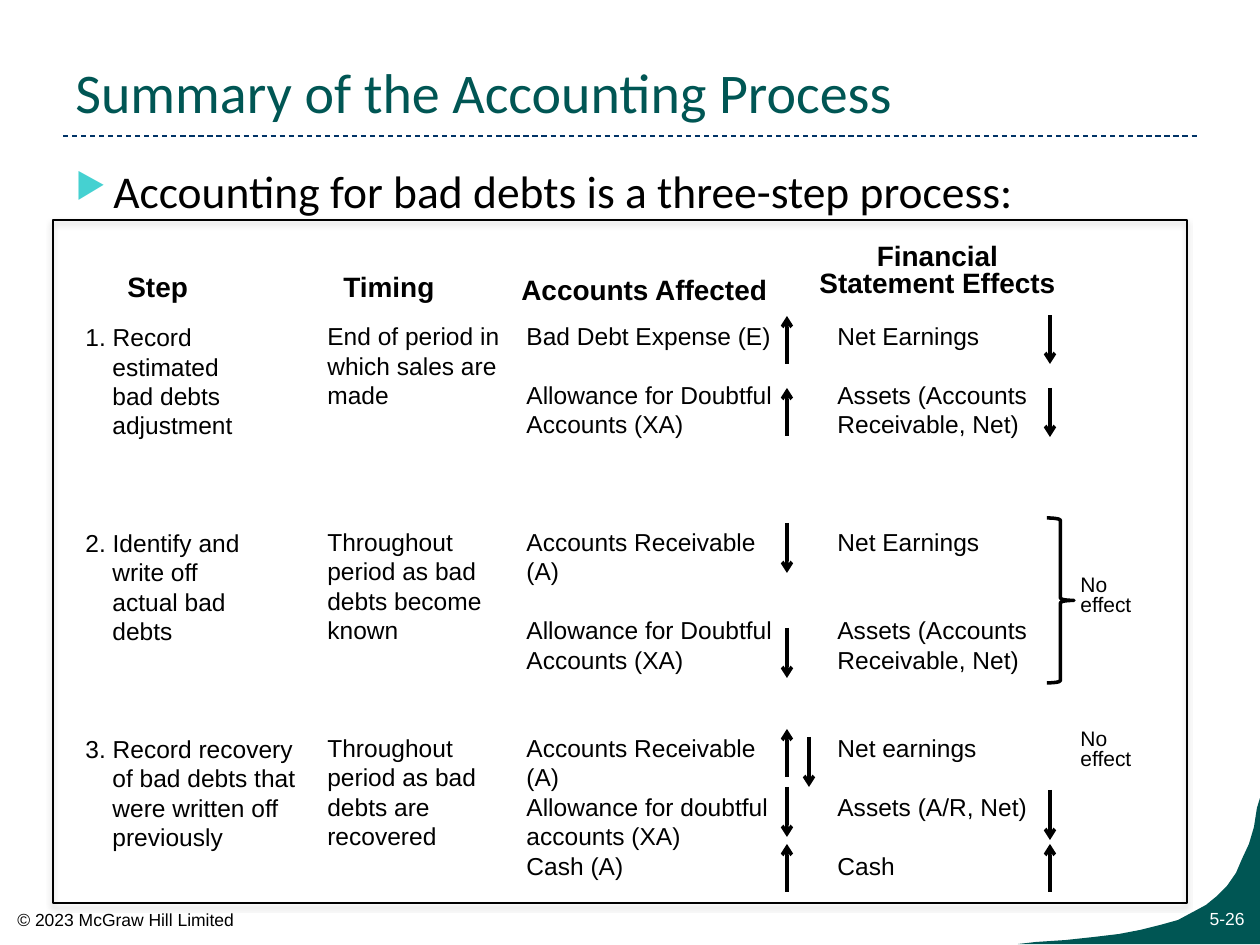
from lxml import etree
from pptx import Presentation
from pptx.dml.color import RGBColor
from pptx.enum.dml import MSO_LINE_DASH_STYLE as DASH
from pptx.enum.shapes import MSO_CONNECTOR as LINK, MSO_SHAPE as SHAPE
from pptx.enum.text import MSO_ANCHOR as ANCHOR, PP_ALIGN as ALIGN
from pptx.oxml import parse_xml as to_xml
from pptx.oxml.ns import nsdecls, qn
from pptx.util import Emu, Pt

SCALE = 914400 / 126
PITCH = 16.8
BLACK = RGBColor(0x00, 0x00, 0x00)
WHITE = RGBColor(0xFF, 0xFF, 0xFF)
TEAL = RGBColor(0x00, 0x56, 0x54)
NAVY = RGBColor(0x00, 0x33, 0x66)

HEADS = [
    (62, 43, 142, "Step", ALIGN.LEFT, None),
    (278, 43, 142, "Timing", ALIGN.LEFT, None),
    (456, 46, 279, "Accounts Affected", ALIGN.LEFT, None),
    (741, 19, 287, "Financial\vStatement Effects", ALIGN.CENTER, 0.8),
]
STEPS = [
    (0, "1. Record\vestimated\vbad debts\vadjustment"),
    (3, "2. Identify and\vwrite off\vactual bad\vdebts"),
    (3, "3. Record recovery\vof bad debts that\vwere written off\vpreviously"),
]
TIMES = [
    (0, "End of period in which sales are made"),
    (4, "Throughout\vperiod as bad\vdebts become\vknown"),
    (3, "Throughout period as bad debts are recovered"),
]
ACCTS = [
    (0, "Bad Debt Expense (E)"),
    (1, "Allowance for Doubtful Accounts (XA)"),
    (3, "Accounts Receivable (A)"),
    (1, "Allowance for Doubtful Accounts (XA)"),
    (2, "Accounts Receivable (A)"),
    (0, "Allowance for doubtful accounts (XA)"),
    (0, "Cash (A)"),
]
EFFECTS = [
    (0, "Net Earnings"),
    (1, "Assets (Accounts\vReceivable, Net)"),
    (3, "Net Earnings"),
    (2, "Assets (Accounts\vReceivable, Net)"),
    (2, "Net earnings"),
    (1, "Assets (A/R, Net)"),
    (1, "Cash"),
]
COLUMNS = [
    (20, 96, 248, STEPS, 27),
    (262, 95, 203, TIMES, 0),
    (461, 95, 273, ACCTS, 0),
    (772, 95, 246, EFFECTS, 0),
]
ARROWS = [
    (734, 144, 96), (734, 216, 168), (734, 303, 353), (734, 408, 458),
    (734, 557, 509), (756, 517, 567), (734, 567, 617), (734, 672, 624),
    (997, 95, 144), (997, 168, 217), (997, 570, 620), (997, 672, 624),
]
CURVE = [
    (18, 144), (48, 142), (76, 139), (101, 136), (122, 132), (142, 127),
    (160, 122), (175, 114), (188, 107), (199, 98), (209, 88), (218, 75),
    (224, 61), (231, 46), (236, 29), (239, 10), (242, 0),
]


def px(n):
    """Turn pixels into EMU."""
    return Emu(round(n * SCALE))


def style(para, size, color=BLACK, face="Arial", bold=False):
    """Set the font of a paragraph."""
    font = para.font
    font.size, font.name, font.bold = Pt(size), face, bold
    font.color.rgb = color


def frame(slide, x, y, w, h):
    """Add a wrapping text box and return its text frame."""
    text = slide.shapes.add_textbox(px(x), px(y), px(w), px(h)).text_frame
    text.word_wrap = True
    return text


def label(slide, box, words, size, color=BLACK, align=ALIGN.LEFT, gap=None,
          bold=False, face="Arial"):
    """Add a text box with one paragraph for each line of words."""
    text = frame(slide, *box)
    text.text = words
    for para in text.paragraphs:
        para.alignment, para.line_spacing = align, gap
        style(para, size, color, face, bold)
    return text


def link(slide, x1, y1, x2, y2, color, width):
    """Add a straight line without shadow."""
    line = slide.shapes.add_connector(LINK.STRAIGHT, px(x1), px(y1), px(x2), px(y2))
    line.line.color.rgb, line.line.width = color, Pt(width)
    etree.SubElement(line._element.spPr, qn("a:effectLst"))
    return line


def arrow(slide, x, y1, y2):
    """Add an upright arrow that points to y2."""
    line = link(slide, x, y1, x, y2, BLACK, 2)
    etree.SubElement(line.line._get_or_add_ln(), qn("a:tailEnd"), type="arrow")


def outline(slide, kind, x, y, w, h, width):
    """Add an unfilled black outline."""
    shape = slide.shapes.add_shape(kind, px(x), px(y), px(w), px(h))
    shape.shadow.inherit = False
    shape.fill.background()
    shape.line.color.rgb, shape.line.width = BLACK, Pt(width)
    return shape


def column(slide, x, y, w, items, hang):
    """Add a column of entries, each set off by a number of lines."""
    text = frame(slide, x, y, w, 560)
    for i, (skip, words) in enumerate(items):
        para = text.add_paragraph() if i else text.paragraphs[0]
        para.text = words
        para.line_spacing = Pt(PITCH)
        if skip:
            para.space_before = Pt(round(skip * PITCH, 1))
        if hang:
            props = para._p.get_or_add_pPr()
            props.set("marL", str(px(hang)))
            props.set("indent", str(-px(hang)))
        style(para, 14)


def header(slide, x, y, w):
    """Add the title and the dashed rule below it."""
    text = label(slide, (x, y, w, 110), "Summary of the Accounting Process",
                 32, TEAL, face="Calibri")
    text.vertical_anchor = ANCHOR.BOTTOM
    rule = link(slide, x, y + 115, x + w, y + 115, NAVY, 0.75)
    rule.line.dash_style = DASH.DASH


def lead(slide, x, y, w):
    """Add the bulleted lead sentence."""
    para = frame(slide, x, y, w, 70).paragraphs[0]
    para.text = "Accounting for bad debts is a three-step process:"
    props = para._p.get_or_add_pPr()
    props.set("marL", str(px(38)))
    props.set("indent", str(-px(38)))
    color = etree.SubElement(props, qn("a:buClr"))
    etree.SubElement(color, qn("a:srgbClr"), val="45D1D1")
    etree.SubElement(props, qn("a:buSzPct"), val="76000")
    etree.SubElement(props, qn("a:buChar"), char="▶")
    style(para, 26, face="Calibri")


def panel(slide, x, y, w, h):
    """Add the framed summary of the three steps."""
    rect = outline(slide, SHAPE.RECTANGLE, x, y, w, h, 0.75)
    rect._element.spPr.find(qn("a:effectLst")).append(to_xml(
        f'<a:outerShdw {nsdecls("a")} blurRad="39370" dist="22860" dir="5400000" '
        'rotWithShape="0"><a:srgbClr val="000000"><a:alpha val="35000"/>'
        '</a:srgbClr></a:outerShdw>'))
    for dx, dy, wide, words, align, gap in HEADS:
        label(slide, (x + dx, y + dy, wide, 47), words, 16,
              align=align, gap=gap, bold=True)
    for dx, dy, wide, items, hang in COLUMNS:
        column(slide, x + dx, y + dy, wide, items, hang)
    for dx, start, end in ARROWS:
        arrow(slide, x + dx, y + start, y + end)
    outline(slide, SHAPE.RIGHT_BRACE, x + 994, y + 298, 27, 165, 2)
    for dy in (350, 504):
        label(slide, (x + 1015, y + dy, 97, 54), "No\neffect", 12, gap=0.8)


def footer(slide, x, y):
    """Add the corner sweep, the page number and the copyright line."""
    path = slide.shapes.build_freeform(px(x + 1260), px(y + 146), scale=1.0)
    path.add_line_segments([(px(x + 1018 + dx), px(y + dy))
                            for dx, dy in [(0, 146)] + CURVE])
    sweep = path.convert_to_shape()
    sweep.shadow.inherit = False
    sweep.fill.solid()
    sweep.fill.fore_color.rgb = TEAL
    sweep.line.fill.background()
    label(slide, (x + 1134, y + 104, 123, 34), "5-26", 10, WHITE, ALIGN.RIGHT)
    label(slide, (x + 5, y + 105, 260, 34), "© 2023 McGraw Hill Limited", 10)


def main():
    """Build and save the slide."""
    deck = Presentation()
    deck.slide_width, deck.slide_height = px(1260), px(945)
    slide = deck.slides.add_slide(deck.slide_layouts[6])
    footer(slide, 0, 798)
    header(slide, 63, 21, 1134)
    panel(slide, 53, 220, 1134, 683)
    lead(slide, 63, 157, 1134)
    deck.save("out.pptx")


if __name__ == "__main__":
    main()
